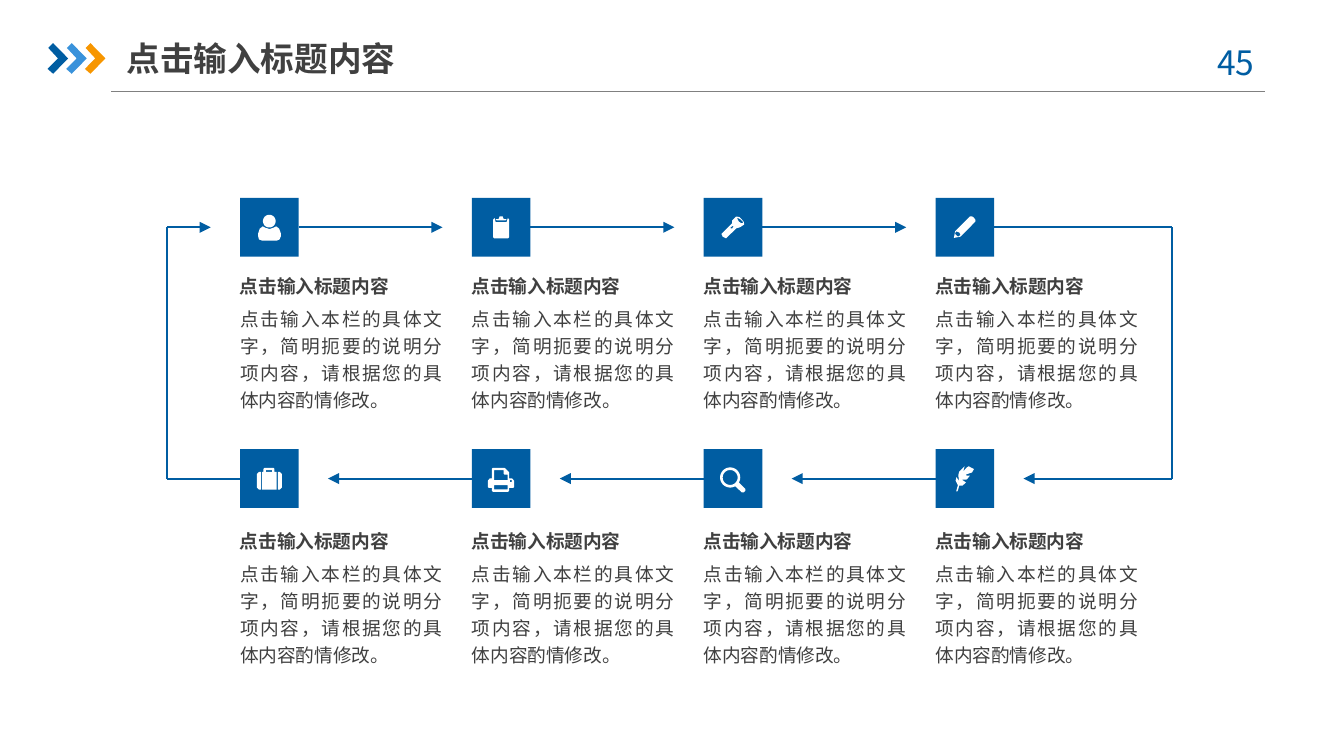
import math

import pptx
import pptx.dml.color
import pptx.enum.shapes
import pptx.enum.text
import pptx.oxml
import pptx.oxml.ns
import pptx.util

Pt = pptx.util.Pt
RGBColor = pptx.dml.color.RGBColor
ALIGN = pptx.enum.text.PP_ALIGN
ANCHOR = pptx.enum.text.MSO_ANCHOR
STRAIGHT = pptx.enum.shapes.MSO_CONNECTOR.STRAIGHT
RECTANGLE = pptx.enum.shapes.MSO_SHAPE.RECTANGLE

BLUE = RGBColor(0x00, 0x5D, 0xA2)
LIGHT_BLUE = RGBColor(0x39, 0x92, 0xDB)
ORANGE = RGBColor(0xF7, 0x96, 0x00)
GRAY = RGBColor(0x80, 0x80, 0x80)
DARK = RGBColor(0x40, 0x40, 0x40)
WHITE = RGBColor(0xFF, 0xFF, 0xFF)

FONT = "Noto Sans CJK SC"
HEADING = "点击输入标题内容"
BODY = "点击输入本栏的具体文字，简明扼要的说明分项内容，请根据您的具体内容酌情修改。"

# Grid of steps, in points
TILE = 31.4
COLUMNS = [128.6 + 124.2 * i for i in range(4)]
ROWS = [106.1, 240.7]
TEXT_DROPS = [39.4, 41.4]
ARROW_GAP = 15.7
LOOP_LEFT, LOOP_RIGHT = 89.7, 627.8


def arc(cx, cy, r, start=0, end=360):
    return [(cx + r * math.cos(math.radians(a)), cy + r * math.sin(math.radians(a)))
            for a in range(start, end + 1, 10)]


def box(left, top, right, bottom):
    return [(left, top), (right, top), (right, bottom), (left, bottom)]


# Each icon is a list of outlines; an outline inside another is a hole
USER = [arc(15.7, 12.4, 3.4),
        [(12.2, 15.2), (13.5, 15.9), (15.8, 16.6), (18, 15.9), (19.4, 15.2), (21, 16.4), (21.9, 19),
         (21.9, 20.5), (21.2, 22.2), (19.8, 22.8), (11.8, 22.8), (10.2, 22.2), (9.7, 20.5), (9.7, 19),
         (10.6, 16.4)]]
CLIPBOARD = [[(19.3, 10.7), (18.6, 12.9), (12.8, 12.9), (12.1, 10.7), (11.4, 11.6), (11.4, 21),
              (12, 21.6), (19.4, 21.6), (20, 21), (20, 11.6)],
             [(18, 12), (18.6, 11.4), (17, 11.2), (16.5, 9.8), (14.9, 9.8), (14.4, 11.2), (12.8, 11.4),
              (13.4, 12)]]
FLASHLIGHT = [[(20.3, 11.3), (19.2, 10.2), (17.4, 9.9), (15.3, 12), (15.3, 13.5), (9.5, 19.2),
               (10.2, 20.7), (12, 21.6), (17.4, 16.3), (19.6, 15.6), (21.7, 14.2), (21.5, 12.8)],
              [(18.9, 12.7), (18.1, 11.3), (18.1, 10.6), (19.6, 11.3), (21, 12.7), (21, 13.5), (20, 13.4)],
              [(14.5, 16.3), (14.5, 15.6), (15.7, 14.9), (16, 15.2), (15.3, 16.3)]]
PENCIL = [[(20.6, 10.6), (19.6, 9.9), (18.4, 9.9), (10.5, 17.8), (9.8, 21.4), (13.4, 20.7), (21.3, 12.7),
           (21.4, 11.8)],
          [(12.7, 20.4), (12, 20.7), (11.2, 20), (10.5, 19.3), (10.6, 18.5), (11.2, 17.9), (12.7, 18.5),
           (13.4, 19.6)]]
SUITCASE = [[(11.2, 12.1), (10.2, 12.1), (9, 13.3), (9, 20.4), (10.2, 21.6), (11.2, 21.6)],
            [(18.5, 12.1), (18.5, 10.5), (17.9, 9.9), (13.2, 9.9), (12.6, 10.5), (12.6, 12.1),
             (11.8, 12.1), (11.8, 21.6), (19.7, 21.6), (19.7, 12.1)],
            box(13.9, 11.1, 17.3, 12.1),
            [(20.3, 12.1), (21.3, 12.1), (22.5, 13.3), (22.5, 20.4), (21.3, 21.6), (20.3, 21.6)]]
PRINTER = [[(11.2, 9.9), (17.5, 9.9), (20, 12.3), (20, 15.6), (21.6, 15.6), (22.6, 16.8), (22.6, 20.2),
            (22.2, 20.7), (20, 20.7), (20, 22.2), (19.4, 22.8), (11.3, 22.8), (10.7, 22.2), (10.7, 20.7),
            (9, 20.7), (8.6, 20.2), (8.6, 16.8), (9.6, 15.6), (10.7, 15.6), (10.7, 10.4)],
           [(12, 11.2), (17.1, 11.2), (17.1, 13.2), (17.5, 13.6), (19.2, 13.6), (19.2, 16.5), (12, 16.5)],
           box(12, 19.2, 19.2, 21.5), arc(20.9, 17, 0.6)]
MAGNIFIER = [arc(14.2, 15.1, 5.4, 60, 390) + [(22.4, 21.3), (22.4, 22.1), (21.4, 23.1), (20.5, 23.1)],
             arc(14.2, 15.1, 4)]
FEATHER = [[(12, 22.1), (12.7, 19.5), (14.5, 19.5), (16.3, 17.8), (14.1, 16.3), (16.8, 16.2), (18.4, 14.2),
            (16.6, 14.2), (16.3, 13.5), (19.6, 12.4), (20.6, 10.6), (17.7, 9.1), (16.5, 10), (14.8, 12),
            (15.6, 9.1), (12.7, 12), (12.2, 14), (12.7, 17.1), (11.2, 14.9), (10.8, 16.8), (12, 19.2),
            (11.2, 22.1), (11.4, 22.8)]]
ICON_ROWS = [[USER, CLIPBOARD, FLASHLIGHT, PENCIL], [SUITCASE, PRINTER, MAGNIFIER, FEATHER]]
CHEVRON = [[(0.4, 2.6), (3, 0), (11, 8.2), (3, 16.4), (0, 13.8), (5.6, 8.2)]]


def paint(shape, color):
    shape.shadow.inherit = False
    shape.fill.solid()
    shape.fill.fore_color.rgb = color
    shape.line.fill.background()


def add_outlines(slide, left, top, outlines, color):
    placed = [[((left + x) * 100, (top + y) * 100) for x, y in outline] for outline in outlines]
    builder = slide.shapes.build_freeform(*placed[0][0], scale=127.0)
    builder.add_line_segments(placed[0][1:])
    for outline in placed[1:]:
        builder.move_to(*outline[0])
        builder.add_line_segments(outline[1:])
    paint(builder.convert_to_shape(), color)


def add_line(slide, start, end, color=BLUE, width=1, arrow=False, tile=None, side=None):
    line = slide.shapes.add_connector(STRAIGHT, *[Pt(v) for v in start + end])
    if tile is not None:
        line.begin_connect(tile, side)
    line.line.color.rgb = color
    line.line.width = Pt(width)
    if arrow:
        pptx.oxml.ns.qn("a:tailEnd")
        line.line._get_or_add_ln().append(pptx.oxml.parse_xml(
            '<a:tailEnd %s type="triangle"/>' % pptx.oxml.ns.nsdecls("a")))
    line._element.spPr.append(pptx.oxml.parse_xml('<a:effectLst %s/>' % pptx.oxml.ns.nsdecls("a")))


def write(shape, text, size, color, bold=False, align=ALIGN.LEFT, anchor=ANCHOR.TOP, insets=(0, 0)):
    frame = shape.text_frame
    frame.word_wrap = True
    frame.vertical_anchor = anchor
    frame.margin_left = frame.margin_right = Pt(insets[0])
    frame.margin_top = frame.margin_bottom = Pt(insets[1])
    paragraph = frame.paragraphs[0]
    paragraph.alignment = align
    run = paragraph.add_run()
    run.text = text
    font = run.font
    font.name, font.size, font.bold = FONT, Pt(size), bold
    font.color.rgb = color
    run._r.get_or_add_rPr().append(pptx.oxml.parse_xml(
        '<a:ea %s typeface="%s"/>' % (pptx.oxml.ns.nsdecls("a"), FONT)))
    return paragraph


def add_text(slide, left, top, width, height, *args, **kwargs):
    text_box = slide.shapes.add_textbox(Pt(left), Pt(top), Pt(width), Pt(height))
    return write(text_box, *args, **kwargs)


def add_header(slide, left, top, width):
    for i, color in enumerate([BLUE, LIGHT_BLUE, ORANGE]):
        add_outlines(slide, left + 10 * i, top + 7.2, CHEVRON, color)
    add_line(slide, (left + 34, top + 33.3), (left + width, top + 33.3), GRAY, 0.75)
    title = slide.shapes.title
    title.left, title.top, title.width, title.height = Pt(left + 42.3), Pt(top), Pt(168), Pt(30.2)
    write(title, HEADING, 18, DARK, True, anchor=ANCHOR.MIDDLE, insets=(0, 3.6))
    # Page number
    add_text(slide, left + width - 41.7, top + 2.9, 52.6, 29, "45", 18, BLUE,
             align=ALIGN.CENTER, insets=(7.2, 3.6))


def add_step(slide, left, top, icon, text_drop):
    tile = slide.shapes.add_shape(RECTANGLE, Pt(left), Pt(top), Pt(TILE), Pt(TILE))
    paint(tile, BLUE)
    add_outlines(slide, left, top, icon, WHITE)
    heading = add_text(slide, left - 7.2, top + text_drop, 101, 15.8, HEADING, 10, DARK, True,
                       anchor=ANCHOR.MIDDLE, insets=(7.2, 3.6))
    heading.space_before = Pt(2)
    body = add_text(slide, left, top + text_drop + 17.2, 108.3, 58.3, BODY, 10, DARK, align=ALIGN.JUSTIFY)
    body.line_spacing = 1.2
    return tile


def add_flow(slide, upper, lower):
    upper_y, lower_y = [top + TILE / 2 for top in ROWS]
    # Rightward along the upper row, leftward along the lower row
    for i in range(3):
        add_line(slide, (COLUMNS[i] + TILE, upper_y), (COLUMNS[i + 1] - ARROW_GAP, upper_y),
                 arrow=True, tile=upper[i], side=3)
        add_line(slide, (COLUMNS[i + 1], lower_y), (COLUMNS[i] + TILE + ARROW_GAP, lower_y),
                 arrow=True, tile=lower[i + 1], side=1)
    # Down the right side
    last_right = COLUMNS[-1] + TILE
    add_line(slide, (last_right, upper_y), (LOOP_RIGHT, upper_y), tile=upper[-1], side=3)
    add_line(slide, (LOOP_RIGHT, upper_y), (LOOP_RIGHT, lower_y))
    add_line(slide, (LOOP_RIGHT, lower_y), (last_right + ARROW_GAP, lower_y), arrow=True)
    # Up the left side
    add_line(slide, (COLUMNS[0], lower_y), (LOOP_LEFT, lower_y), tile=lower[0], side=1)
    add_line(slide, (LOOP_LEFT, lower_y), (LOOP_LEFT, upper_y))
    add_line(slide, (LOOP_LEFT, upper_y), (COLUMNS[0] - ARROW_GAP, upper_y), arrow=True)


def main():
    deck = pptx.Presentation()
    deck.slide_width, deck.slide_height = Pt(720), Pt(405)
    slide = deck.slides.add_slide(deck.slide_layouts[5])
    add_header(slide, 25.5, 15.9, 652)
    tile_rows = [[add_step(slide, left, top, icon, drop) for left, icon in zip(COLUMNS, icons)]
                 for top, icons, drop in zip(ROWS, ICON_ROWS, TEXT_DROPS)]
    add_flow(slide, *tile_rows)
    deck.save("out.pptx")


if __name__ == "__main__":
    main()
